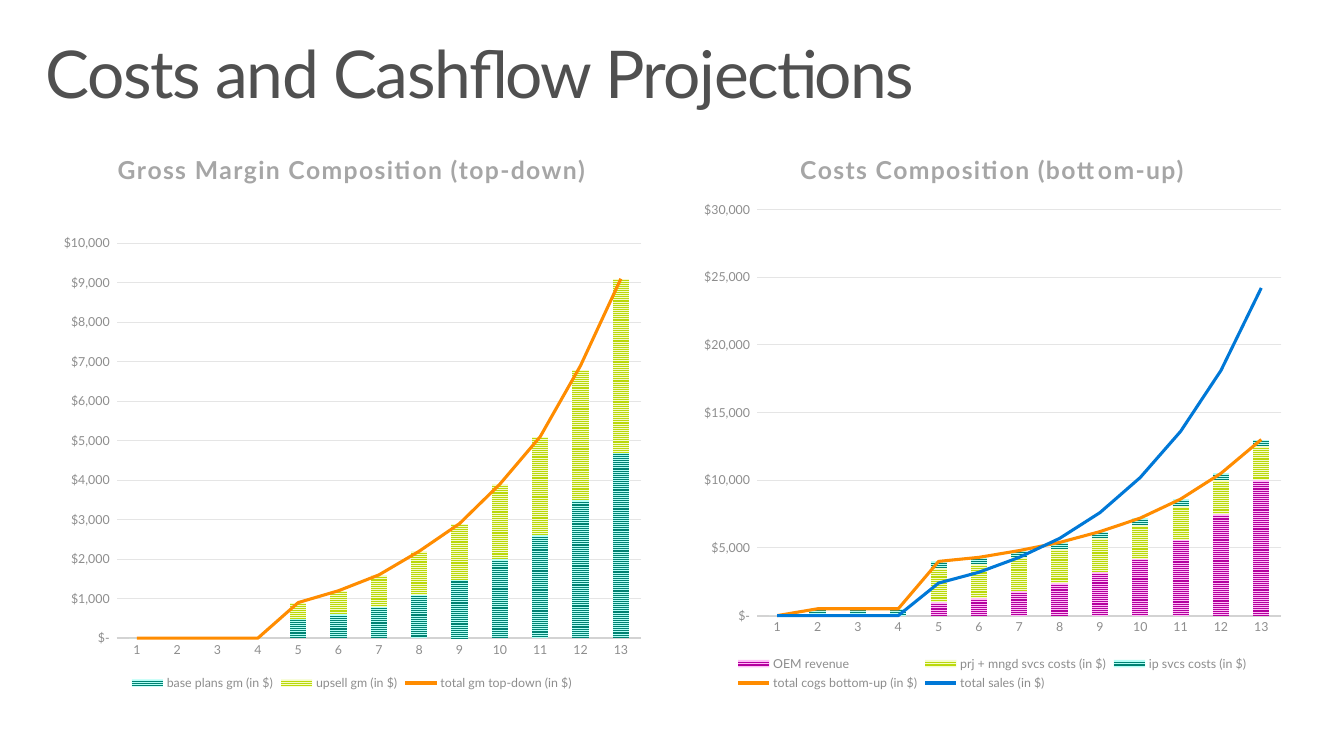
import pptx
import pptx.chart.data
import pptx.dml.color
import pptx.enum.chart
import pptx.enum.dml
import pptx.enum.text
import pptx.oxml
import pptx.oxml.ns
import pptx.util

PX = 9144  # 100 px to the inch
FONT = "Lato"
COLORS = {
    "heading": "505050", "chart title": "A6A6A6", "label": "8D8D8D",
    "axis": "D3D3D3", "grid": "E5E5E5",
    "teal": "008272", "pale teal": "B3FFF6",
    "lime": "BAD80A", "pale lime": "F5FCC9",
    "magenta": "B4009E", "pale magenta": "FFBDF7",
    "orange": "FF8C00", "blue": "0078D7",
}
DOLLARS = r'_("$"* #,##0_);_("$"* \(#,##0\);_("$"* "-"_);_(@_)'
MONTHS = [str(month) for month in range(1, 14)]

# Each series: name, colour, values. Plot area: x, y, w, h as shares of the chart.
PROJECTIONS = [
    {
        "title": "Gross Margin Composition (top-down)", "left": 51,
        "plot area": (0.11, 0.2, 0.87, 0.7), "top": 10000, "step": 1000,
        "columns": [
            ("base plans gm (in $)", "teal",
             [0, 0, 0, 0, 500, 600, 800, 1100, 1500, 2000, 2600, 3500, 4700]),
            ("upsell gm (in $)", "lime",
             [0, 0, 0, 0, 400, 600, 800, 1100, 1400, 1900, 2500, 3300, 4400]),
        ],
        "lines": [
            ("total gm top-down (in $)", "orange",
             [0, 0, 0, 0, 900, 1200, 1600, 2200, 2900, 3900, 5100, 6900, 9100]),
        ],
    },
    {
        "title": "Costs Composition (bottom-up)", "left": 699,
        "plot area": (0.11, 0.14, 0.87, 0.72), "top": 30000, "step": 5000,
        "columns": [
            ("OEM revenue", "magenta",
             [0, 0, 0, 0, 1000, 1300, 1800, 2400, 3200, 4200, 5600, 7500, 10000]),
            ("prj + mngd svcs costs (in $)", "lime", [0] * 4 + [2500] * 9),
            ("ip svcs costs (in $)", "teal", [0] + [500] * 12),
        ],
        "lines": [
            ("total cogs bottom-up (in $)", "orange",
             [0, 500, 500, 500, 4000, 4300, 4800, 5400, 6200, 7200, 8600, 10500, 13000]),
            ("total sales (in $)", "blue",
             [0, 0, 0, 0, 2400, 3200, 4300, 5700, 7600, 10200, 13600, 18100, 24200]),
        ],
    },
]


def rgb(name):
    return pptx.dml.color.RGBColor.from_string(COLORS[name])


def style_font(font, size, color, bold=False):
    font.name, font.size, font.bold = FONT, pptx.util.Pt(size), bold
    font.color.rgb = rgb(color)


presentation = pptx.Presentation()
presentation.slide_width, presentation.slide_height = 1360 * PX, 765 * PX
slide = presentation.slides.add_slide(presentation.slide_layouts[5])

heading = slide.shapes.title
heading.left, heading.top, heading.width, heading.height = 30 * PX, 32 * PX, 1300 * PX, 100 * PX
frame = heading.text_frame
frame.margin_left = frame.margin_right = 16 * PX
frame.margin_top = frame.margin_bottom = 10 * PX
frame.vertical_anchor = pptx.enum.text.MSO_ANCHOR.TOP
frame.auto_size = pptx.enum.text.MSO_AUTO_SIZE.NONE
frame.word_wrap = True
paragraph = frame.paragraphs[0]
paragraph.alignment = pptx.enum.text.PP_ALIGN.LEFT
paragraph.line_spacing = 0.9
run = paragraph.add_run()
run.text = "Costs and Cashflow Projections"
style_font(run.font, 48, "heading")
run.font._element.set("spc", "-100")

for projection in PROJECTIONS:
    data = pptx.chart.data.CategoryChartData(number_format=DOLLARS)
    data.categories = MONTHS
    for name, color, values in projection["columns"] + projection["lines"]:
        data.add_series(name, values)
    chart = slide.shapes.add_chart(
        pptx.enum.chart.XL_CHART_TYPE.COLUMN_STACKED,
        projection["left"] * PX, 132 * PX, 610 * PX, 571 * PX, data).chart
    style_font(chart.font, 10, "heading")

    run = chart.chart_title.text_frame.paragraphs[0].add_run()
    run.text = projection["title"]
    style_font(run.font, 18, "chart title", bold=True)
    run.font._element.set("spc", "100")

    chart.has_legend = True
    chart.legend.position = pptx.enum.chart.XL_LEGEND_POSITION.BOTTOM
    chart.legend.include_in_layout = False
    style_font(chart.legend.font, 9, "label")

    for axis in (chart.category_axis, chart.value_axis):
        axis.major_tick_mark = axis.minor_tick_mark = pptx.enum.chart.XL_TICK_MARK.NONE
        style_font(axis.tick_labels.font, 9, "label")
    chart.category_axis.format.line.color.rgb = rgb("axis")
    chart.category_axis.format.line.width = pptx.util.Pt(1.5)
    dollars = chart.value_axis
    dollars.minimum_scale, dollars.maximum_scale = 0, projection["top"]
    dollars.major_unit = projection["step"]
    dollars.format.line.fill.background()
    dollars.major_gridlines.format.line.color.rgb = rgb("grid")
    dollars.major_gridlines.format.line.width = pptx.util.Pt(0.75)
    dollars.tick_labels.number_format = DOLLARS
    dollars.tick_labels.number_format_is_linked = False

    # Move the totals from the column plot to a line plot on the same axes
    columns = chart.plots[0]
    columns.gap_width, columns.overlap = 150, 100
    columns.vary_by_categories = False
    bar_chart = columns._element
    line_chart = pptx.oxml.parse_xml(
        f'<c:lineChart {pptx.oxml.ns.nsdecls("c")}><c:grouping val="standard"/>'
        '<c:varyColors val="0"/><c:marker val="1"/>'
        + "".join(f'<c:axId val="{axis.get("val")}"/>'
                  for axis in bar_chart.findall(pptx.oxml.ns.qn("c:axId")))
        + "</c:lineChart>")
    bar_chart.addnext(line_chart)
    line_end = line_chart.find(pptx.oxml.ns.qn("c:marker"))
    all_series = bar_chart.findall(pptx.oxml.ns.qn("c:ser"))
    for total in all_series[len(projection["columns"]):]:
        for column_only in total.findall(pptx.oxml.ns.qn("c:invertIfNegative")):
            total.remove(column_only)
        line_end.addprevious(total)

    for series, (name, color, values) in zip(chart.plots[0].series, projection["columns"]):
        fill = series.format.fill
        fill.patterned()
        fill.pattern = pptx.enum.dml.MSO_PATTERN.NARROW_HORIZONTAL
        fill.fore_color.rgb, fill.back_color.rgb = rgb(color), rgb("pale " + color)
    for series, (name, color, values) in zip(chart.plots[1].series, projection["lines"]):
        series.format.line.color.rgb = rgb(color)
        series.format.line.width = pptx.util.Pt(2.25)
        series.marker.style = pptx.enum.chart.XL_MARKER_STYLE.NONE
        series.smooth = False

    plot_area = bar_chart.getparent()
    for layout in plot_area.findall(pptx.oxml.ns.qn("c:layout")):
        plot_area.remove(layout)
    plot_area.insert(0, pptx.oxml.parse_xml(
        f'<c:layout {pptx.oxml.ns.nsdecls("c")}><c:manualLayout>'
        '<c:layoutTarget val="inner"/><c:xMode val="edge"/><c:yMode val="edge"/>'
        + "".join(f'<c:{side} val="{share}"/>'
                  for side, share in zip("xywh", projection["plot area"]))
        + "</c:manualLayout></c:layout>"))

presentation.save("out.pptx")
